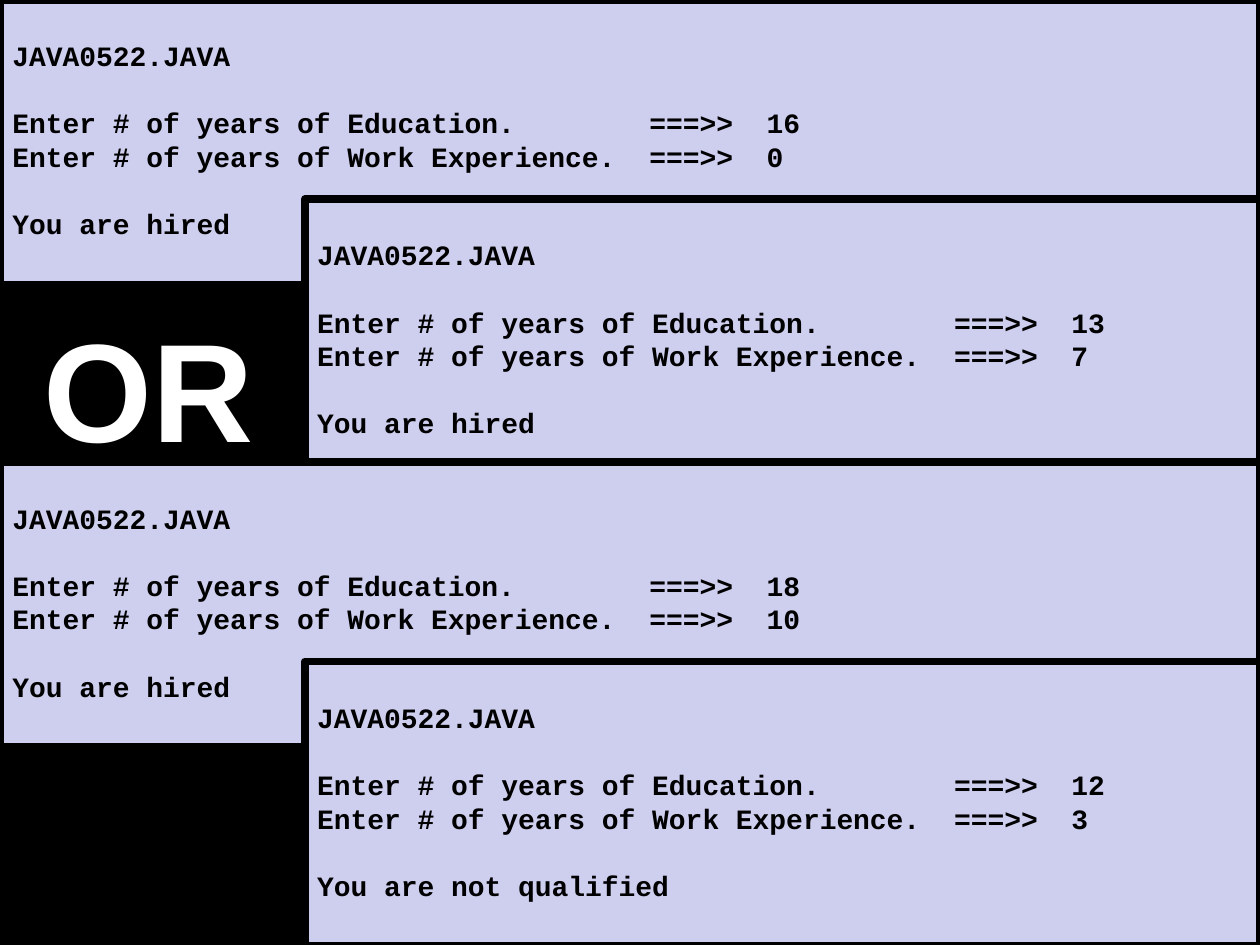
from lxml import etree
from pptx import Presentation
from pptx import util as u
from pptx.dml import color
from pptx.enum import shapes, text
from pptx.oxml import ns

Pt = u.Pt
COLORS = {
    "black": "000000",
    "lavender": "CECEEF",
    "white": "FFFFFF",
}
LINE_PITCH = 19.2
SCREEN_HEIGHT = 162.7
SLIDE_WIDTH = 720
ARROW_TAB, VALUE_TAB = 364, 431

SCREENS = [
    (0, 0, "16", "0", "You are hired"),
    (174.2, 113.8, "13", "7", "You are hired"),
    (0, 264.2, "18", "10", "You are hired"),
    (174.2, 378, "12", "3", "You are not qualified"),
]


def rgb(name):
    return color.RGBColor.from_string(COLORS[name])


def add_span(para, words, font_name, size, color_name):
    span = para.add_run()
    span.text = words
    span.font.name = font_name
    span.font.size = Pt(size)
    span.font.bold = True
    span.font.color.rgb = rgb(color_name)


deck = Presentation()
deck.slide_width, deck.slide_height = Pt(SLIDE_WIDTH), Pt(540)
page = deck.slides.add_slide(deck.slide_layouts[6])
page.background.fill.solid()
page.background.fill.fore_color.rgb = rgb("black")

for left, top, education, experience, verdict in SCREENS:
    screen = page.shapes.add_shape(
        shapes.MSO_SHAPE.RECTANGLE,
        Pt(left), Pt(top), Pt(SLIDE_WIDTH - left), Pt(SCREEN_HEIGHT),
    )
    screen.shadow.inherit = False
    screen.fill.solid()
    screen.fill.fore_color.rgb = rgb("lavender")
    screen.line.color.rgb = rgb("black")
    screen.line.width = Pt(4.5)

    frame = screen.text_frame
    frame.word_wrap = True
    frame.vertical_anchor = text.MSO_ANCHOR.TOP
    frame.margin_top = Pt(22.2)
    lines = [
        ("JAVA0522.JAVA", 0),
        (f"Enter # of years of Education.\t===>>\t{education}", LINE_PITCH),
        (f"Enter # of years of Work Experience.\t===>>\t{experience}", 0),
        (verdict, LINE_PITCH),
    ]
    for index, (words, gap) in enumerate(lines):
        para = frame.add_paragraph() if index else frame.paragraphs[0]
        para.alignment = text.PP_ALIGN.LEFT
        para.line_spacing = Pt(LINE_PITCH)
        para.space_before = Pt(gap)
        if "\t" in words:
            tabs = etree.SubElement(para._p.get_or_add_pPr(), ns.qn("a:tabLst"))
            for stop in (ARROW_TAB, VALUE_TAB):
                etree.SubElement(tabs, ns.qn("a:tab"), pos=str(Pt(stop)), algn="l")
        add_span(para, words, "Courier New", 16, "black")

or_box = page.shapes.add_textbox(Pt(18), Pt(162), Pt(138.2), Pt(104.4))
or_box.text_frame.word_wrap = False
or_box.text_frame.margin_top = Pt(11)
add_span(or_box.text_frame.paragraphs[0], "OR", "Arial", 80, "white")

deck.save("out.pptx")
